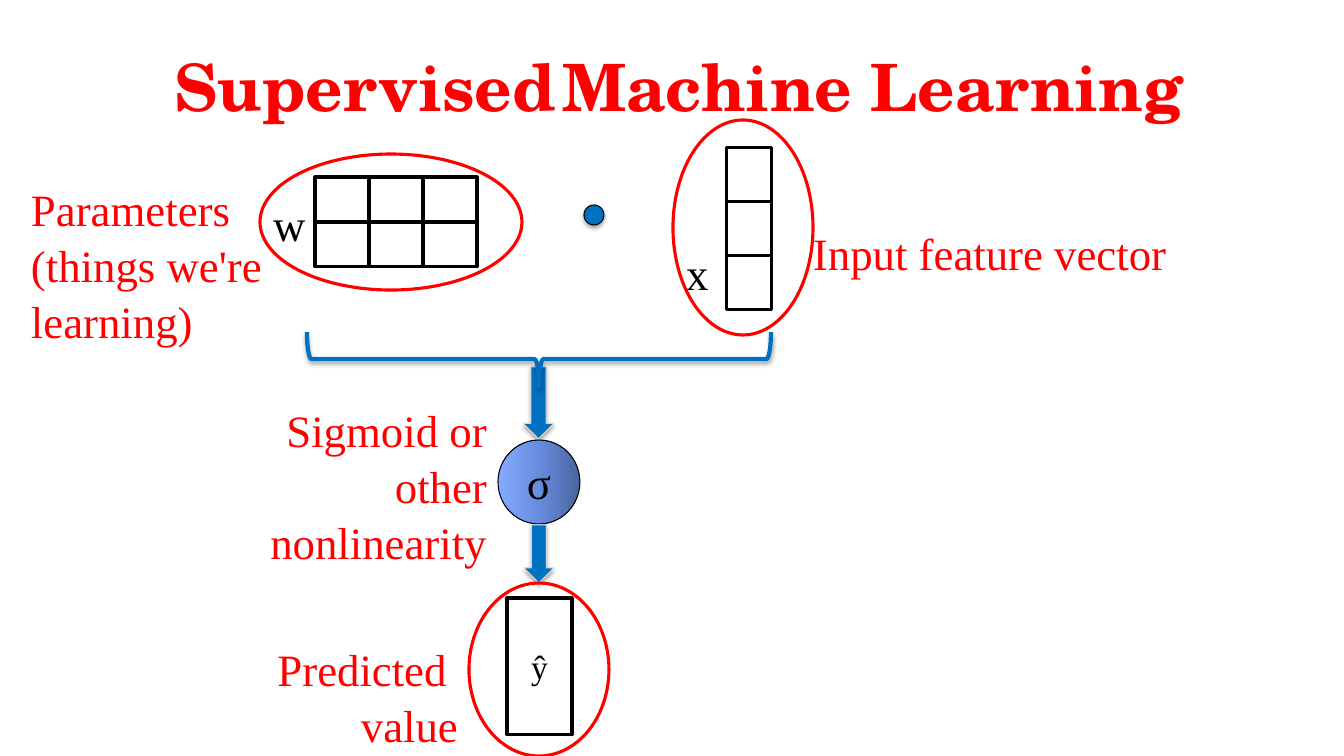
from lxml.etree import SubElement
from pptx import Presentation
from pptx.dml.color import RGBColor
from pptx.enum.shapes import MSO_SHAPE as Shape
from pptx.enum.text import MSO_ANCHOR as Anchor, PP_ALIGN as Align
from pptx.oxml.ns import qn
from pptx.util import Emu, Pt

RED = RGBColor(0xFF, 0x00, 0x00)
BLACK = RGBColor(0x00, 0x00, 0x00)
WHITE = RGBColor(0xFF, 0xFF, 0xFF)
BLUE = RGBColor(0x00, 0x70, 0xC0)
GREY = RGBColor(0xD8, 0xD8, 0xD8)
NODE_STOPS = (
    (0, RGBColor(0x49, 0x63, 0x9C)),
    (50, RGBColor(0x68, 0x8D, 0xDF)),
    (100, RGBColor(0x85, 0xAB, 0xFF)),
)
PX_PER_INCH = 100.8
CELL_WIDTH, CELL_HEIGHT = 54, 45


def px(length):
    """Turn a length in px into EMU."""
    return Emu(round(length * 914400 / PX_PER_INCH))


class Diagram:
    """Draws the elements of one slide in a shared style."""

    font = "Times New Roman"
    title_font = "TeX Gyre Schola"
    inset = 13
    text_top = 16

    def __init__(self, presentation):
        """Add a slide that holds only a title."""
        self.slide = presentation.slides.add_slide(presentation.slide_layouts[5])

    def format_run(self, run, size, color, font=None, bold=False):
        """Set the font of one run."""
        run.font.name = font or self.font
        run.font.size = Pt(size)
        run.font.bold = bold
        run.font.color.rgb = color

    def set_insets(self, frame, top):
        """Set the margins of a text frame."""
        frame.margin_left = frame.margin_right = frame.margin_bottom = px(self.inset)
        frame.margin_top = px(top)
        frame.word_wrap = True

    def title(self, box, words):
        """Fill the title placeholder, with a narrow space between the words."""
        shape = self.slide.shapes.title
        shape.left, shape.top, shape.width, shape.height = map(px, box)
        frame = shape.text_frame
        self.set_insets(frame, self.inset)
        frame.vertical_anchor = Anchor.TOP
        paragraph = frame.paragraphs[0]
        paragraph.alignment = Align.LEFT
        properties = paragraph._p.get_or_add_pPr()
        properties.set("marL", str(px(134)))
        properties.set("indent", str(-px(33)))
        for index, word in enumerate(words):
            if index:
                space = paragraph.add_run()
                space.text = " "
                self.format_run(space, 18, BLACK)
            run = paragraph.add_run()
            run.text = word
            self.format_run(run, 46.6, RED, self.title_font, True)

    def label(self, box, text, color=RED, align=Align.LEFT):
        """Add a text box."""
        frame = self.slide.shapes.add_textbox(*map(px, box)).text_frame
        self.set_insets(frame, self.text_top)
        frame.text = text
        for paragraph in frame.paragraphs:
            paragraph.alignment = align
            paragraph.line_spacing = 1.04
            for run in paragraph.runs:
                self.format_run(run, 32, color)

    def shape(self, kind, box, fill=None, line=BLACK, weight=2.25, rotation=0):
        """Add a preset shape without a shadow."""
        shape = self.slide.shapes.add_shape(kind, *map(px, box))
        shape.shadow.inherit = False
        shape.rotation = rotation
        if fill is None:
            shape.fill.background()
        else:
            shape.fill.solid()
            shape.fill.fore_color.rgb = fill
        shape.line.color.rgb = line
        shape.line.width = Pt(weight)
        return shape

    def raised(self, *arguments, **options):
        """Add a preset shape with a soft shadow below it."""
        shape = self.shape(*arguments, **options)
        effects = shape._element.spPr.find(qn("a:effectLst"))
        shadow = SubElement(effects, qn("a:outerShdw"), blurRad=str(Pt(3.1)),
                            dist=str(Pt(1.8)), dir="5400000", rotWithShape="0")
        color = SubElement(shadow, qn("a:srgbClr"), val=str(BLACK))
        SubElement(color, qn("a:alpha"), val="35000")

    def caption(self, shape, text, size):
        """Write centred text inside a shape."""
        frame = shape.text_frame
        self.set_insets(frame, self.inset)
        frame.vertical_anchor = Anchor.MIDDLE
        frame.text = text
        paragraph = frame.paragraphs[0]
        paragraph.alignment = Align.CENTER
        self.format_run(paragraph.runs[0], size, BLACK)

    def gradient(self, shape, stops):
        """Fill a shape with a gradient from right to left."""
        shape.fill.gradient()
        shape.fill.gradient_angle = 180
        stop_list = shape._element.spPr.find(qn("a:gradFill")).find(qn("a:gsLst"))
        for old_stop in list(stop_list):
            stop_list.remove(old_stop)
        for position, color in stops:
            stop = SubElement(stop_list, qn("a:gs"), pos=str(position * 1000))
            SubElement(stop, qn("a:srgbClr"), val=str(color))

    def ring(self, box):
        """Add a red outline around a part of the diagram."""
        self.shape(Shape.OVAL, box, line=RED)

    def cell(self, left, top, rotation=0):
        """Add one cell of a matrix or vector."""
        box = (left, top, CELL_WIDTH, CELL_HEIGHT)
        self.shape(Shape.RECTANGLE, box, WHITE, rotation=rotation)


def main():
    """Build the slide and save it."""
    presentation = Presentation()
    presentation.slide_width, presentation.slide_height = px(1344), px(756)
    diagram = Diagram(presentation)
    diagram.title((60, 33, 1210, 102), ("Supervised", "Machine Learning"))

    for row in range(3):
        diagram.cell(722, 152 + row * CELL_WIDTH, rotation=90)
    diagram.label((673, 228, 46, 62), "x", BLACK)
    diagram.ring((673, 120, 140, 215))
    diagram.label((800, 208, 399, 85), "Input feature vector")
    diagram.raised(Shape.OVAL, (584, 205, 20, 20), BLUE, weight=0.75)

    diagram.raised(Shape.DOWN_ARROW, (523, 367, 31, 72), BLUE, GREY, 0.75)
    node = diagram.shape(Shape.OVAL, (498, 440, 82, 84), weight=0.75)
    diagram.gradient(node, NODE_STOPS)
    diagram.caption(node, "σ", 32)
    diagram.raised(Shape.LEFT_BRACE, (512, 127, 54, 464), line=BLUE, weight=3,
                   rotation=270)

    prediction = diagram.shape(Shape.RECTANGLE, (507, 598, 65, 137), WHITE)
    diagram.caption(prediction, "ŷ", 24)
    diagram.raised(Shape.DOWN_ARROW, (524, 525, 30, 58), BLUE, GREY, 0.75)

    for row in range(2):
        for column in range(3):
            diagram.cell(315 + column * CELL_WIDTH, 177 + row * CELL_HEIGHT)
    diagram.label((260, 179, 46, 62), "w", BLACK)

    diagram.ring((469, 583, 140, 173))
    diagram.label((260, 624, 211, 85), "Predicted \nvalue", align=Align.RIGHT)
    diagram.label((240, 385, 260, 85), "Sigmoid or other nonlinearity",
                  align=Align.RIGHT)
    diagram.ring((260, 154, 262, 136))
    diagram.label((18, 164, 354, 85), "Parameters\n(things we're learning)")
    presentation.save("out.pptx")


if __name__ == "__main__":
    main()
